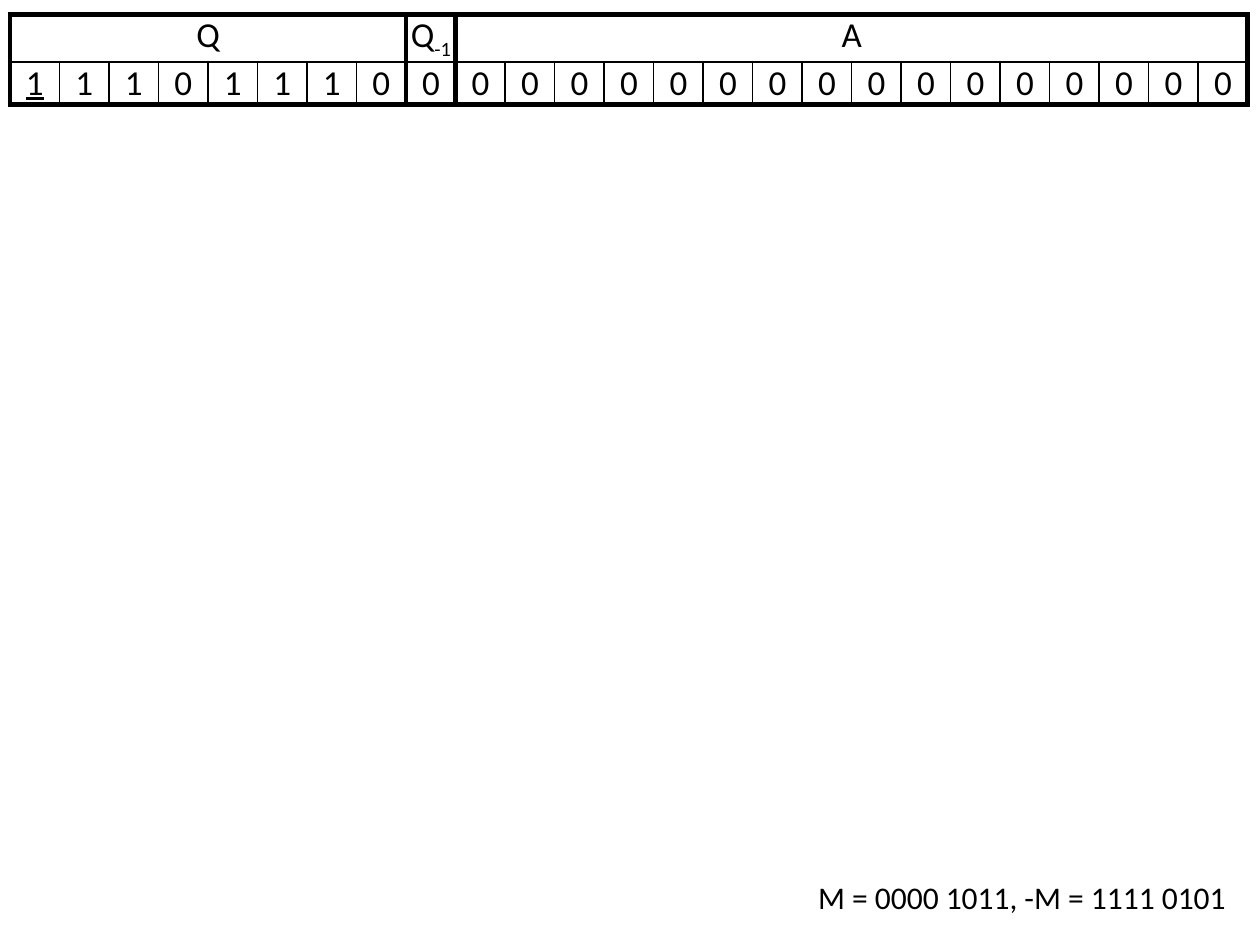
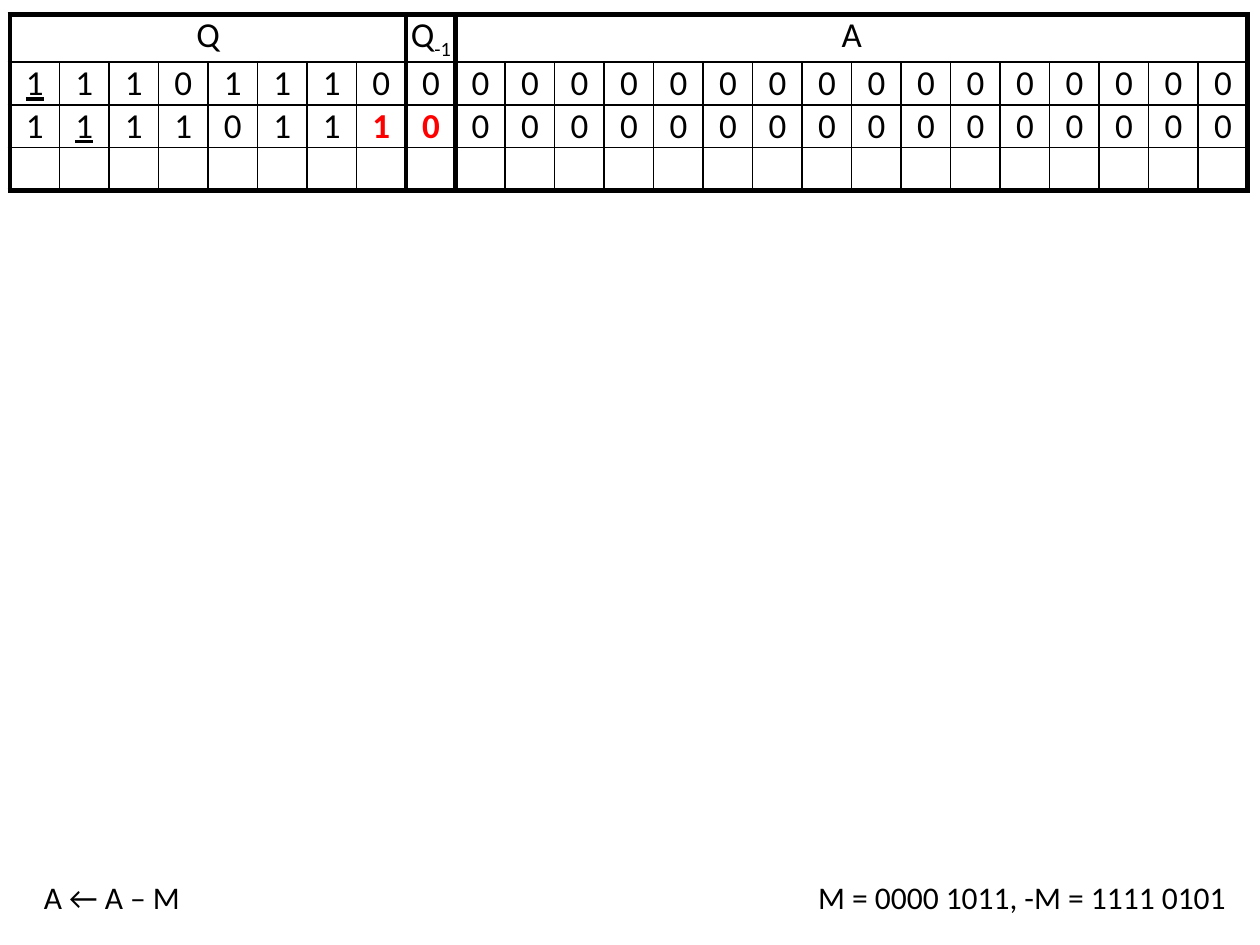
from lxml.etree import SubElement
from pptx import Presentation
from pptx.dml.color import RGBColor
from pptx.enum.text import PP_ALIGN
from pptx.oxml.ns import qn
from pptx.util import Inches, Pt

BLACK, RED = "000000", "FF0000"
WIDTH, HEIGHT = Inches(10), Inches(7.5)
THIN, THICK = Pt(1), Pt(3)
REGISTERS = [("Q", "", 8), ("Q", "-1", 1), ("A", "", 16)]
COLUMNS = sum(size for _, _, size in REGISTERS)
ROW_HEIGHT = Inches(0.34)
TABLE_BOX = (0.008, 0.015, 0.983)
RIGHT_NOTE = (0.6, 0.923, 0.383, 0.053)
LEFT_NOTE = (0.025, 0.923, 0.383, 0.053)

START = ("11101110" + "0" * 17, 0, ())
SHIFTED = ("11110111" + "0" * 17, 1, (7, 8))
SHIFTED = ("11110111"[:4] + "0111" + "0" * 17, 1, (7, 8))
EMPTY = ("", None, ())


def color(value):
    """Turn a hex string into a colour."""
    return RGBColor.from_string(value)


def add_text(p, text, size=20, fill=BLACK, bold=False, underline=False,
             baseline=None, align=PP_ALIGN.CENTER):
    """Add one formatted run to a paragraph."""
    p.alignment = align
    r = p.add_run()
    r.text = text
    r.font.name, r.font.size = "Calibri", Pt(size)
    r.font.bold, r.font.underline = bold, underline
    r.font.color.rgb = color(fill)
    if baseline:
        r.font._element.set("baseline", str(baseline))


def format_cell(cell, left, right, top, bottom):
    """Draw the four borders of a cell and clear its margins and fill."""
    cell.margin_left = cell.margin_right = cell.margin_top = cell.margin_bottom = 0
    tc_pr = cell._tc.get_or_add_tcPr()
    for side, width in zip("LRTB", (left, right, top, bottom)):
        line = SubElement(tc_pr, qn(f"a:ln{side}"), w=str(width))
        fill = SubElement(line, qn("a:solidFill"))
        SubElement(fill, qn("a:srgbClr"), val=BLACK)
    cell.fill.background()


def add_headings(table):
    """Fill the top row with one merged cell per register and return their edges."""
    edges = [0]
    for name, subscript, size in REGISTERS:
        first = edges[-1]
        edges.append(first + size)
        cell = table.cell(0, first)
        if size > 1:
            cell.merge(table.cell(0, edges[-1] - 1))
        p = cell.text_frame.paragraphs[0]
        add_text(p, name)
        if subscript:
            add_text(p, subscript, baseline=-25000)
    for col in range(COLUMNS):
        format_cell(table.cell(0, col), THICK, THICK, THICK, THIN)
    return edges


def add_registers(s, box, steps):
    """Draw the register table with one row of bits per step."""
    left, top, width = box
    rows = len(steps) + 1
    table = s.shapes.add_table(rows, COLUMNS, int(left * WIDTH), int(top * HEIGHT),
                               int(width * WIDTH), rows * ROW_HEIGHT).table
    table.first_row = table.horz_banding = False
    edges = add_headings(table)
    for row, (bits, sign, changed) in enumerate(steps, 1):
        for col in range(COLUMNS):
            cell = table.cell(row, col)
            format_cell(cell, THICK if col in edges else THIN,
                        THICK if col + 1 in edges else THIN,
                        THIN, THICK if row == rows - 1 else THIN)
            if bits:
                add_text(cell.text_frame.paragraphs[0], bits[col],
                         underline=col == sign, bold=col in changed,
                         fill=RED if col in changed else BLACK)


def add_note(s, box, text, align):
    """Add a line of text at the foot of the slide."""
    left, top, width, height = box
    tf = s.shapes.add_textbox(int(left * WIDTH), int(top * HEIGHT),
                              int(width * WIDTH), int(height * HEIGHT)).text_frame
    tf.word_wrap = True
    add_text(tf.paragraphs[0], text, size=18, align=align)


def add_step_slide(prs, steps, action=None):
    """Add a slide with the steps so far, the operands and the next action."""
    s = prs.slides.add_slide(prs.slide_layouts[6])
    add_registers(s, TABLE_BOX, steps)
    add_note(s, RIGHT_NOTE, "M = 0000 1011, -M = 1111 0101", PP_ALIGN.RIGHT)
    if action:
        add_note(s, LEFT_NOTE, action, PP_ALIGN.LEFT)


def main():
    """Build and save the presentation."""
    prs = Presentation()
    prs.slide_width, prs.slide_height = WIDTH, HEIGHT
    add_step_slide(prs, [START])
    add_step_slide(prs, [START, SHIFTED, EMPTY], "A ← A – M")
    prs.save("out.pptx")


if __name__ == "__main__":
    main()
